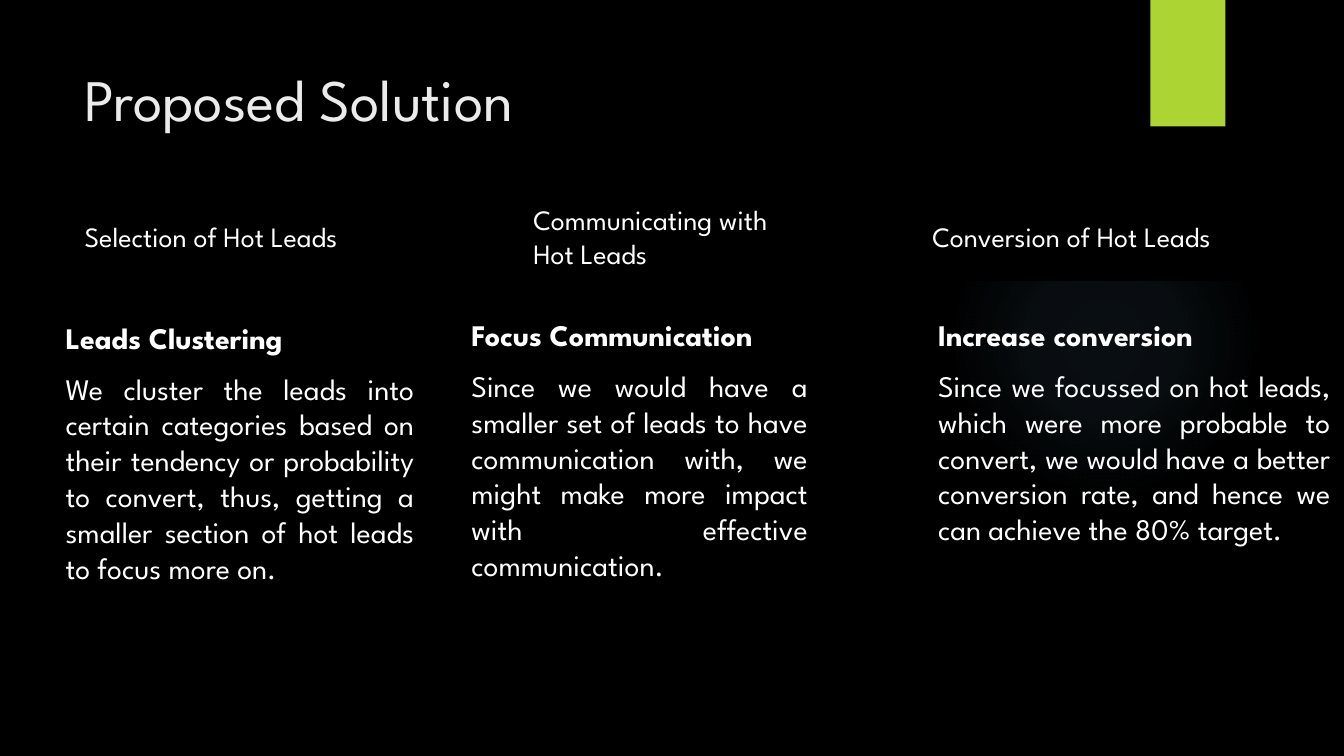
"""Build the Proposed Solution slide with three columns on hot leads."""
from typing import NamedTuple

import pptx
import pptx.dml.color
import pptx.enum.shapes
import pptx.enum.text
import pptx.oxml
import pptx.oxml.ns
import pptx.util

Cm = pptx.util.Cm
Pt = pptx.util.Pt
SHAPE = pptx.enum.shapes.MSO_SHAPE
ALIGN = pptx.enum.text.PP_ALIGN
ANCHOR = pptx.enum.text.MSO_ANCHOR

FONT = "League Spartan"
COLORS = {
    "black": "000000",
    "white": "FFFFFF",
    "title": "EBEBEB",
    "accent": "ACD433",
    "glow": "7AC4F0",
}
NS = pptx.oxml.ns.nsdecls("a")
INSET = 0.25


class Box(NamedTuple):
    """Left, top, width and height in centimetres."""
    x: float
    y: float
    w: float
    h: float


class Para(NamedTuple):
    """A paragraph with its character and paragraph formats."""
    text: str
    color: str
    font: dict
    layout: dict


class Column(NamedTuple):
    """One column: its arrow, its step label and its explanation."""
    arrow: SHAPE
    arrow_x: float
    arrow_w: float
    step: str
    step_x: float
    step_w: float
    head: str
    body: str
    body_box: Box


COLUMNS = [
    Column(SHAPE.PENTAGON, 1.19, 7.27, "Selection of Hot Leads", 1.35, 6.73,
           "Leads Clustering",
           "We cluster the leads into certain categories based on their tendency "
           "or probability to convert, thus, getting a smaller section of hot "
           "leads to focus more on.",
           Box(0.99, 5.79, 7.09, 7.37)),
    Column(SHAPE.CHEVRON, 8.46, 7.67, "Communicating with Hot Leads", 9.83, 4.93,
           "Focus Communication",
           "Since we would have a smaller set of leads to have communication "
           "with, we might make more impact with effective communication.",
           Box(8.66, 5.74, 6.86, 7.37)),
    Column(SHAPE.CHEVRON, 16.13, 8.48, "Conversion of Hot Leads", 17.37, 8.03,
           "Increase conversion",
           "Since we focussed on hot leads, which were more probable to convert, "
           "we would have a better conversion rate, and hence we can achieve the "
           "80% target.",
           Box(17.48, 5.74, 7.92, 7.37)),
]


def rgb(name: str) -> pptx.dml.color.RGBColor:
    """Return the named colour."""
    return pptx.dml.color.RGBColor.from_string(COLORS[name])


def add_shape(s, kind: SHAPE, box: Box, color: str):
    """Add a filled shape without line or shadow."""
    sp = s.shapes.add_shape(kind, *map(Cm, box))
    sp.shadow.inherit = False
    sp.fill.solid()
    sp.fill.fore_color.rgb = rgb(color)
    sp.line.fill.background()
    return sp


def add_text(s, box: Box, paras: list[Para], anchor=ANCHOR.TOP) -> None:
    """Add a wrapping text box with the given paragraphs."""
    tf = s.shapes.add_textbox(*map(Cm, box)).text_frame
    frame = {"word_wrap": True, "vertical_anchor": anchor}
    frame |= {f"margin_{side}": Cm(INSET) for side in ("left", "top", "right", "bottom")}
    for key, value in frame.items():
        setattr(tf, key, value)
    for i, para in enumerate(paras):
        p = tf.add_paragraph() if i else tf.paragraphs[0]
        for key, value in para.layout.items():
            setattr(p, key, value)
        r = p.add_run()
        r.text = para.text
        r.font.color.rgb = rgb(para.color)
        for key, value in ({"name": FONT} | para.font).items():
            setattr(r.font, key, value)


def add_glow(s, box: Box) -> None:
    """Add a faint circle that fades out from its centre."""
    sp = add_shape(s, SHAPE.OVAL, box, "glow")
    stops = "".join(
        f'<a:gs pos="{pos * 1000}"><a:srgbClr val="{COLORS["glow"]}">'
        f'<a:alpha val="{alpha * 1000}"/></a:srgbClr></a:gs>'
        for pos, alpha in ((0, 7), (36, 6), (69, 0)))
    grad = pptx.oxml.parse_xml(
        f'<a:gradFill {NS} rotWithShape="1"><a:gsLst>{stops}</a:gsLst>'
        '<a:path path="circle"><a:fillToRect l="50000" t="50000" r="50000" b="50000"/>'
        '</a:path></a:gradFill>')
    props = sp.element.spPr
    props.replace(props.find(pptx.oxml.ns.qn("a:solidFill")), grad)


def add_ribbon(s, box: Box) -> None:
    """Add the accent ribbon with its soft shadow."""
    sp = add_shape(s, SHAPE.RECTANGLE, box, "accent")
    shadow = pptx.oxml.parse_xml(
        f'<a:outerShdw {NS} blurRad="{Pt(3)}" dist="{Pt(2)}" dir="5400000" '
        f'rotWithShape="0"><a:srgbClr val="{COLORS["black"]}">'
        '<a:alpha val="45000"/></a:srgbClr></a:outerShdw>')
    sp.element.spPr.find(pptx.oxml.ns.qn("a:effectLst")).append(shadow)


def add_column(s, col: Column) -> None:
    """Add the step label and the explanation of a column."""
    step = Para(col.step, "white", {"size": Pt(15)}, {})
    add_text(s, Box(col.step_x, 4.04, col.step_w, 0.86), [step], ANCHOR.MIDDLE)
    justified = {"alignment": ALIGN.JUSTIFY, "space_before": Pt(8), "space_after": Pt(8)}
    add_text(s, col.body_box, [
        Para(col.head, "white", {"size": Pt(16), "bold": True}, {}),
        Para(col.body, "white", {"size": Pt(16), "bold": False}, justified),
    ])


def main() -> None:
    """Build and save the slide."""
    prs = pptx.Presentation()
    prs.slide_width, prs.slide_height = Cm(25.4), Cm(14.29)
    s = prs.slides.add_slide(prs.slide_layouts[6])
    s.background.fill.solid()
    s.background.fill.fore_color.rgb = rgb("black")
    add_glow(s, Box(17.93, 3.51, 5.87, 5.87))
    add_ribbon(s, Box(21.74, 0, 1.42, 2.39))
    for col in COLUMNS:
        add_shape(s, col.arrow, Box(col.arrow_x, 3.63, col.arrow_w, 1.68), "black")
    title = Para("Proposed Solution", "title", {"size": Pt(31.5)}, {})
    add_text(s, Box(1.35, 0.94, 19.58, 2.92), [title])
    for col in COLUMNS:
        add_column(s, col)
    prs.save("out.pptx")


if __name__ == "__main__":
    main()
